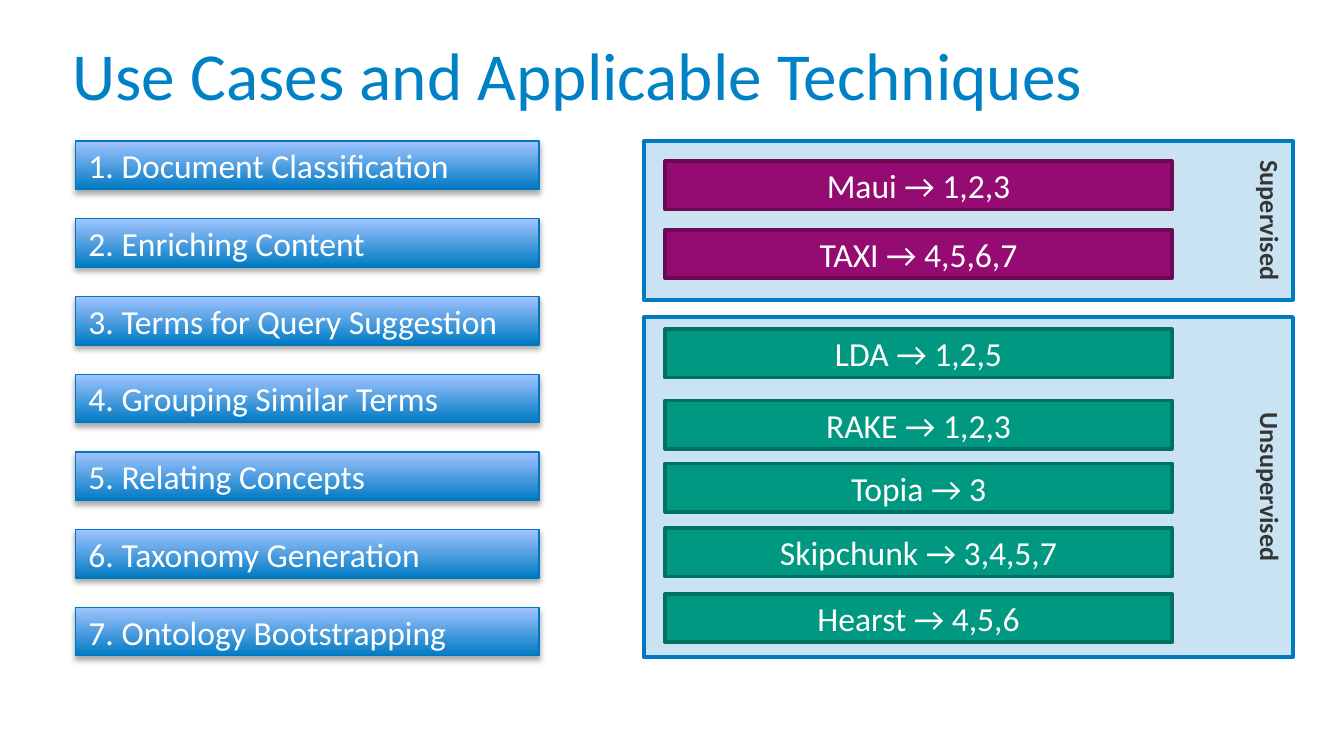
from dataclasses import dataclass

from lxml.etree import SubElement
from pptx import Presentation
from pptx.dml.color import RGBColor
from pptx.enum.shapes import MSO_SHAPE
from pptx.enum.text import MSO_ANCHOR, PP_ALIGN
from pptx.oxml.ns import qn
from pptx.util import Inches, Pt


@dataclass(frozen=True)
class Theme:
    font: str = "Calibri"
    title: str = "0081C6"
    text: str = "FFFFFF"
    label: str = "353535"
    panel: str = "CAE3F2"
    panel_line: str = "007AC3"
    supervised: str = "940C72"
    supervised_line: str = "6D0954"
    unsupervised: str = "009881"
    unsupervised_line: str = "00705F"
    case_bottom: str = "007AC3"
    case_top: str = "A1C4FF"
    case_line: str = "0077BF"
    shadow: str = "000000"
    title_size: int = 36
    body_size: int = 18
    label_size: int = 14


theme = Theme()


def write(shape, text, size, color, align, anchor=MSO_ANCHOR.MIDDLE, bold=False):
    frame = shape.text_frame
    frame.text = text
    frame.word_wrap = True
    frame.vertical_anchor = anchor
    para = frame.paragraphs[0]
    para.alignment = align
    font = para.runs[0].font
    font.name = theme.font
    font.size = Pt(size)
    font.bold = bold
    font.color.rgb = RGBColor.from_string(color)


def add_box(left, top, width, height, fill, line, line_width=2):
    box = page.shapes.add_shape(MSO_SHAPE.RECTANGLE, Inches(left), Inches(top),
                                Inches(width), Inches(height))
    box.fill.solid()
    box.fill.fore_color.rgb = RGBColor.from_string(fill)
    box.line.color.rgb = RGBColor.from_string(line)
    box.line.width = Pt(line_width)
    box.shadow.inherit = False
    return box


# Widescreen page, 16 to 9
deck = Presentation()
deck.slide_width = Inches(10)
deck.slide_height = Inches(10 * 9 / 16)
page = deck.slides.add_slide(deck.slide_layouts[5])

# Title
title = page.shapes.title
title.left, title.top = Inches(0.44), Inches(0.08)
title.width, title.height = Inches(9.18), Inches(0.94)
write(title, "Use Cases and Applicable Techniques", theme.title_size, theme.title,
      PP_ALIGN.LEFT)

# Technique panels, turned so that their labels run down the right side
bar_height = 0.36
panel_left, panel_width = 4.79, 4.83
groups = [
    ("Supervised", 1.05, 1.18, theme.supervised, theme.supervised_line,
     [("Maui → 1,2,3", 1.2), ("TAXI → 4,5,6,7", 1.71)]),
    ("Unsupervised", 2.36, 2.53, theme.unsupervised, theme.unsupervised_line,
     [("LDA → 1,2,5", 2.45), ("RAKE → 1,2,3", 2.98), ("Topia → 3", 3.45),
      ("Skipchunk → 3,4,5,7", 3.93), ("Hearst → 4,5,6", 4.42)]),
]
for label, top, height, fill, line, techniques in groups:
    turn_offset = (panel_width - height) / 2
    panel = add_box(panel_left + turn_offset, top - turn_offset, height, panel_width,
                    theme.panel, theme.panel_line)
    panel.rotation = 90
    write(panel, label, theme.label_size, theme.label, PP_ALIGN.CENTER,
          MSO_ANCHOR.TOP, bold=True)
    for technique, bar_top in techniques:
        bar = add_box(4.95, bar_top, 3.77, bar_height, fill, line)
        write(bar, technique, theme.body_size, theme.text, PP_ALIGN.CENTER)

# Use cases, evenly spaced
use_cases = ["Document Classification", "Enriching Content",
             "Terms for Query Suggestion", "Grouping Similar Terms",
             "Relating Concepts", "Taxonomy Generation", "Ontology Bootstrapping"]
first_top, last_top = 1.05, 4.52
pitch = (last_top - first_top) / (len(use_cases) - 1)
for index, use_case in enumerate(use_cases):
    box = add_box(0.56, first_top + index * pitch, 3.45, bar_height,
                  theme.case_bottom, theme.case_line, 0.75)
    write(box, f"{index + 1}. {use_case}", theme.body_size, theme.text, PP_ALIGN.LEFT)

    # Gradient rising from dark to light
    box.fill.gradient()
    box.fill.gradient_angle = 90
    for stop, color, position in zip(box.fill.gradient_stops,
                                     (theme.case_bottom, theme.case_top), (0, 1)):
        stop.color.rgb = RGBColor.from_string(color)
        stop.position = position

    # Soft shadow below
    effects = box.element.spPr.find(qn("a:effectLst"))
    shadow = SubElement(effects, qn("a:outerShdw"), blurRad=str(Pt(3.1)),
                        dist=str(Pt(1.8)), dir="5400000", rotWithShape="0")
    shade = SubElement(shadow, qn("a:srgbClr"), val=theme.shadow)
    SubElement(shade, qn("a:alpha"), val="35000")

deck.save("out.pptx")
